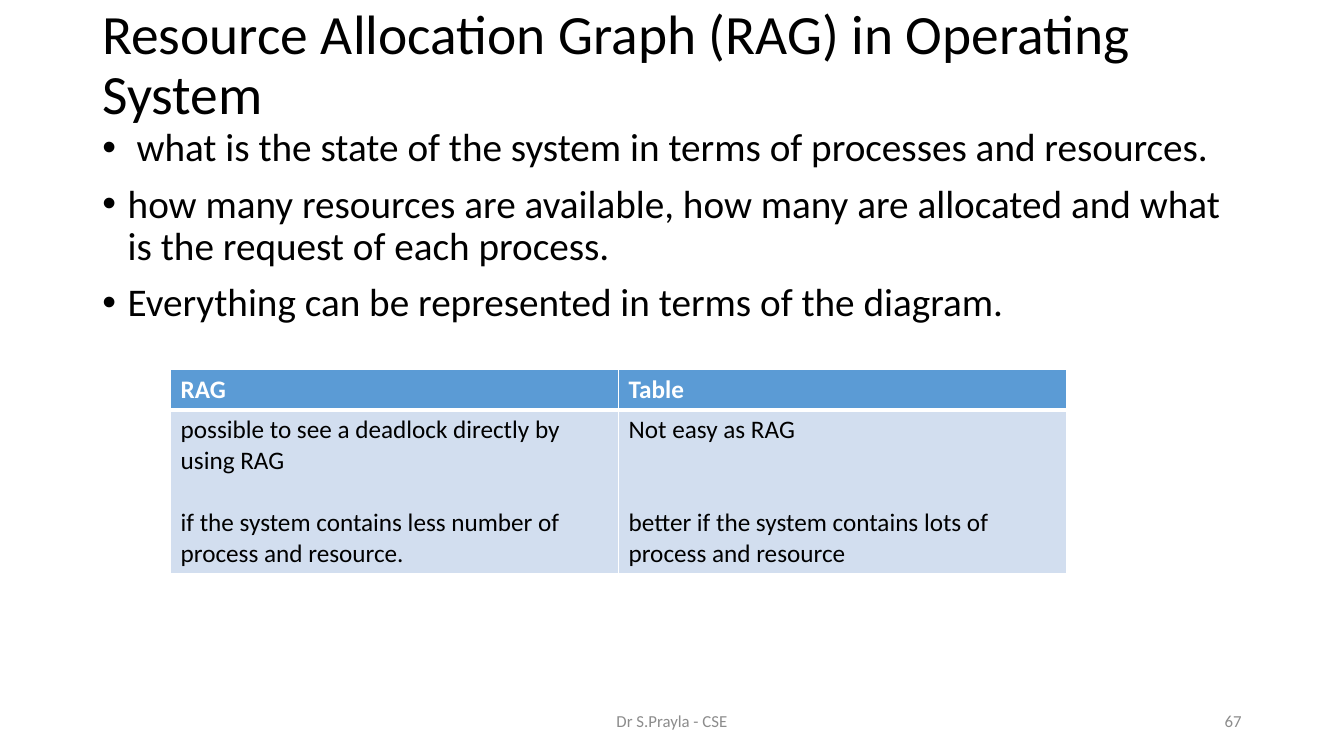
from pptx import Presentation
from pptx.dml.color import RGBColor
from pptx.enum.text import MSO_ANCHOR, PP_ALIGN
from pptx.oxml import parse_xml
from pptx.oxml.ns import nsdecls
from pptx.util import Cm, Pt

BLACK = RGBColor(0x00, 0x00, 0x00)
WHITE = RGBColor(0xFF, 0xFF, 0xFF)
GREY = RGBColor(0x8C, 0x8C, 0x8C)
HEADER_BLUE = RGBColor(0x5B, 0x9B, 0xD5)
PALE_BLUE = RGBColor(0xD2, 0xDE, 0xEF)

TITLE = "Resource Allocation Graph (RAG) in Operating System"
POINTS = [
    " what is the state of the system in terms of processes and resources.",
    "how many resources are available, how many are allocated and what is the request of each process.",
    "Everything can be represented in terms of the diagram.",
]
LINE = 22
COMPARISON = {
    "RAG": (
        ["possible to see a deadlock directly by using RAG",
         "if the system contains less number of process and resource."],
        LINE,
    ),
    "Table": (
        ["Not easy as RAG",
         "better if the system contains lots of process and resource"],
        2 * LINE,
    ),
}


class SlideBuilder:
    font_name = "Calibri"

    def __init__(self, slide):
        self.slide = slide

    def fill_text(self, frame, lines, size, color, bold=False, gap=0,
                  align=PP_ALIGN.LEFT, spacing=1.0, bulleted=False):
        frame.text = "\n".join(lines)
        for index, paragraph in enumerate(frame.paragraphs):
            paragraph.alignment = align
            paragraph.line_spacing = spacing
            paragraph.space_before = Pt(gap if index else 0)
            if bulleted:
                properties = paragraph._p.get_or_add_pPr()
                properties.set("marL", str(Cm(0.64)))
                properties.set("indent", str(-Cm(0.64)))
                properties.append(parse_xml(f'<a:buFont {nsdecls("a")} typeface="Arial"/>'))
                properties.append(parse_xml(f'<a:buChar {nsdecls("a")} char="•"/>'))
            for run in paragraph.runs:
                run.font.name = self.font_name
                run.font.size = Pt(size)
                run.font.bold = bold
                run.font.color.rgb = color

    def text(self, left, top, width, height, lines, size, color,
             anchor=MSO_ANCHOR.MIDDLE, **style):
        box = self.slide.shapes.add_textbox(Cm(left), Cm(top), Cm(width), Cm(height))
        frame = box.text_frame
        frame.word_wrap = True
        frame.vertical_anchor = anchor
        self.fill_text(frame, lines, size, color, **style)

    def cell(self, cell, lines, fill, color, bottom=1, **style):
        cell.fill.solid()
        cell.fill.fore_color.rgb = fill
        self.fill_text(cell.text_frame, lines, 18, color, **style)
        borders = {"lnL": 1, "lnR": 1, "lnT": 1, "lnB": bottom}
        for position, (side, width) in enumerate(borders.items()):
            cell._tc.get_or_add_tcPr().insert(position, parse_xml(
                f'<a:{side} {nsdecls("a")} w="{Pt(width)}"><a:solidFill>'
                f'<a:srgbClr val="{WHITE}"/></a:solidFill></a:{side}>'))

    def table(self, left, top, width, row_heights, columns):
        frame = self.slide.shapes.add_table(
            len(row_heights), len(columns),
            Cm(left), Cm(top), Cm(width), Cm(sum(row_heights)))
        table = frame.table
        for row, height in zip(table.rows, row_heights):
            row.height = Cm(height)
        for index, (heading, (lines, gap)) in enumerate(columns.items()):
            self.cell(table.cell(0, index), [heading], HEADER_BLUE, WHITE,
                      bottom=3, bold=True)
            self.cell(table.cell(1, index), lines, PALE_BLUE, BLACK, gap=gap)
            table.cell(1, index)._tc.tcPr.find(
                "{http://schemas.openxmlformats.org/drawingml/2006/main}lnT"
            ).set("w", str(Pt(3)))


def main():
    presentation = Presentation()
    presentation.slide_width = Cm(33.87)
    presentation.slide_height = Cm(19.05)
    builder = SlideBuilder(presentation.slides.add_slide(presentation.slide_layouts[6]))
    builder.text(2.33, 1.02, 29.21, 1.32, [TITLE], 39.6, BLACK, spacing=0.9)
    builder.text(2.33, 3.1, 29.21, 14.05, POINTS, 28, BLACK,
                 anchor=MSO_ANCHOR.TOP, gap=10, spacing=0.9, bulleted=True)
    builder.table(4.3, 9.3, 22.58, [1.03, 4.13], COMPARISON)
    builder.text(11.22, 17.66, 11.43, 1.01, ["Dr S.Prayla - CSE"], 12, GREY,
                 align=PP_ALIGN.CENTER)
    builder.text(23.92, 17.66, 7.62, 1.01, ["67"], 12, GREY, align=PP_ALIGN.RIGHT)
    presentation.save("out.pptx")


if __name__ == "__main__":
    main()
